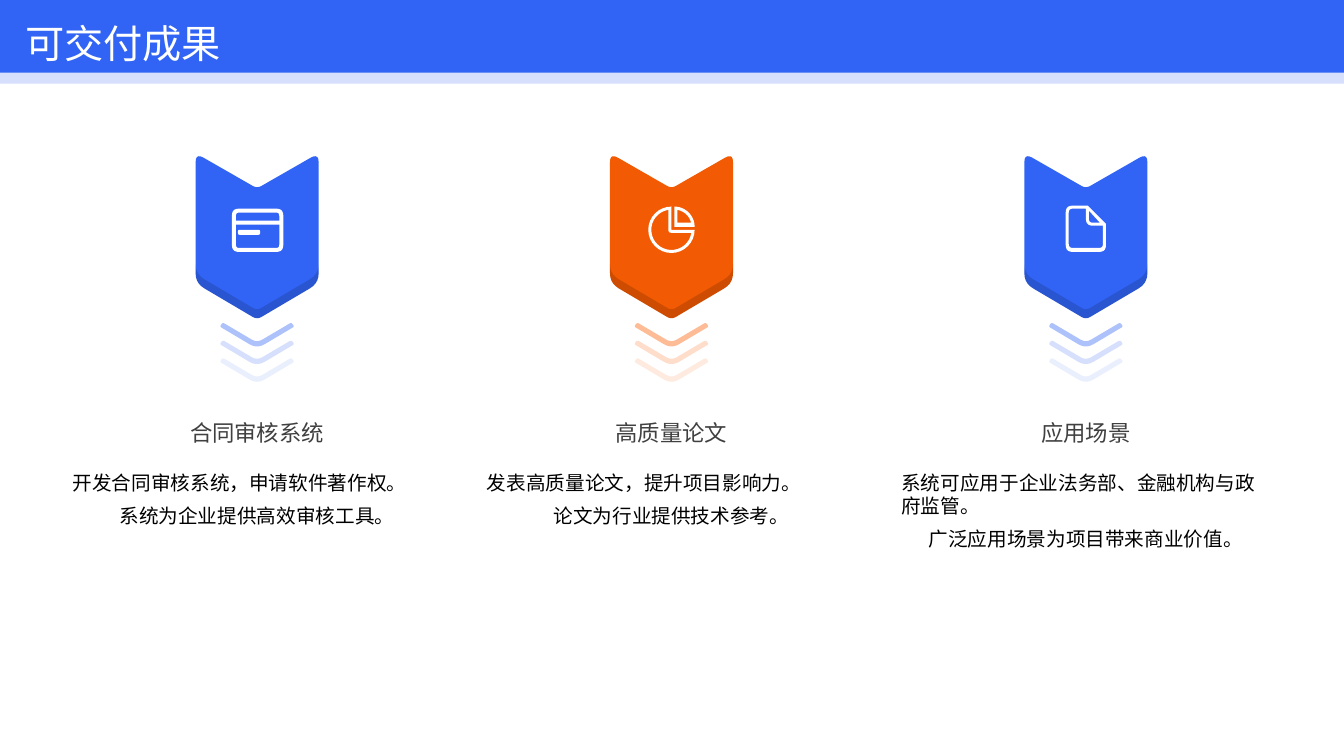
import math

import lxml.etree
import pptx
import pptx.dml.color
import pptx.enum.shapes
import pptx.enum.text
import pptx.oxml.ns
import pptx.util

Inches = pptx.util.Inches
RGBColor = pptx.dml.color.RGBColor
PP_ALIGN = pptx.enum.text.PP_ALIGN
MSO_ANCHOR = pptx.enum.text.MSO_ANCHOR
qn = pptx.oxml.ns.qn

FONT = "Noto Sans CJK SC"
BLUE = RGBColor(0x31, 0x64, 0xF5)
MID_BLUE = RGBColor(0xAD, 0xC1, 0xFB)
PALE_BLUE = RGBColor(0xD6, 0xE0, 0xFD)
ORANGE = RGBColor(0xF2, 0x5A, 0x03)
MID_ORANGE = RGBColor(0xFE, 0xBC, 0x96)
PALE_ORANGE = RGBColor(0xFE, 0xDD, 0xCB)
WHITE = RGBColor(0xFF, 0xFF, 0xFF)
GRAY = RGBColor(0x40, 0x40, 0x40)
BLACK = RGBColor(0x00, 0x00, 0x00)


def draw_outlines(outlines, dx, dy, color, opacity=100):
    """Fill outlines of (x, y[, corner reach]) points, moved by dx and dy inches."""
    builder = None
    for outline in outlines:
        points = []
        for i, (x, y, *reach) in enumerate(outline):
            if not reach:
                points.append((x, y))
                continue
            ends = []
            for nx, ny, *_ in (outline[i - 1], outline[(i + 1) % len(outline)]):
                t = reach[0] / math.dist((x, y), (nx, ny))
                ends.append((x + (nx - x) * t, y + (ny - y) * t))
            (ax, ay), (bx, by) = ends
            for t in (0, 0.2, 0.4, 0.6, 0.8, 1):
                u = 1 - t
                points.append((u * u * ax + 2 * u * t * x + t * t * bx,
                               u * u * ay + 2 * u * t * y + t * t * by))
        points = [(Inches(x + dx), Inches(y + dy)) for x, y in points]
        if builder is None:
            builder = slide.shapes.build_freeform(*points[0])
        else:
            builder.move_to(*points[0])
        builder.add_line_segments(points[1:], close=True)
    sp = builder.convert_to_shape()
    sp.shadow.inherit = False
    sp.fill.solid()
    sp.fill.fore_color.rgb = color
    sp.line.fill.background()
    if opacity < 100:
        fill = sp.element.find(".//" + qn("a:srgbClr"))
        lxml.etree.SubElement(fill, qn("a:alpha")).set("val", str(opacity * 1000))


def add_run(p, text, size, color):
    r = p.add_run()
    r.text = text
    r.font.size = pptx.util.Pt(size)
    r.font.name = FONT
    r.font.color.rgb = color
    ea = lxml.etree.SubElement(r.font._element, qn("a:ea"))
    ea.set("typeface", FONT)


prs = pptx.Presentation()
prs.slide_width = Inches(13.33)
prs.slide_height = Inches(7.5)
slide = prs.slides.add_slide(prs.slide_layouts[5])

# Header
for height, color in ((0.83, PALE_BLUE), (0.72, BLUE)):
    band = slide.shapes.add_shape(pptx.enum.shapes.MSO_SHAPE.RECTANGLE,
                                  0, 0, prs.slide_width, Inches(height))
    band.shadow.inherit = False
    band.fill.solid()
    band.fill.fore_color.rgb = color
    band.line.fill.background()

title = slide.shapes.title
slide.shapes.element.append(title.element)
title.left, title.top = Inches(0.15), Inches(0.05)
title.width, title.height = Inches(12.62), Inches(0.57)
tf = title.text_frame
tf.auto_size = pptx.enum.text.MSO_AUTO_SIZE.SHAPE_TO_FIT_TEXT
tf.vertical_anchor = MSO_ANCHOR.TOP
p = tf.paragraphs[0]
p.alignment = PP_ALIGN.LEFT
p.line_spacing = 1.2
add_run(p, "可交付成果", 28, WHITE)

# Outlines, with x measured from the middle of a column
banner = [(0.61, 1.52, 0.09), (0.61, 2.81, 0.1), (0, 3.17, 0.05),
          (-0.61, 2.81, 0.1), (-0.61, 1.52, 0.09), (0, 1.87, 0.05)]
banner_edge = [(0.61, 2.62), (0.61, 2.81, 0.1), (0, 3.17, 0.05), (-0.61, 2.81, 0.1),
               (-0.61, 2.62), (-0.61, 2.72, 0.1), (0, 3.08, 0.05), (0.61, 2.72, 0.1)]
chevron = [(0.34, -0.01, 0.02), (0.37, 0.03, 0.02), (0, 0.25, 0.09),
           (-0.37, 0.03, 0.02), (-0.34, -0.01, 0.02), (0, 0.19, 0.06)]

card_icon = [
    [(-0.25, 2.07, 0.07), (0.26, 2.07, 0.07), (0.26, 2.5, 0.07), (-0.25, 2.5, 0.07)],
    [(-0.21, 2.11, 0.03), (0.22, 2.11, 0.03), (0.22, 2.19), (-0.21, 2.19)],
    [(-0.21, 2.23), (0.22, 2.23), (0.22, 2.46, 0.03), (-0.21, 2.46, 0.03)],
    [(-0.19, 2.28, 0.02), (0.03, 2.28, 0.02), (0.03, 2.33, 0.02), (-0.19, 2.33, 0.02)],
]
pie_icon = []
for corners, cx, cy, radius, start, end in (
        ([(0, 2.04), (0, 2.28), (0.23, 2.28)], 0, 2.28, 0.23, 0, 270),
        ([(-0.03, 2.08), (-0.03, 2.31, 0.03), (0.2, 2.31)], 0, 2.28, 0.2, 10, 260),
        ([(0.03, 2.25)], 0.03, 2.25, 0.2, -90, 0),
        ([(0.06, 2.21)], 0.03, 2.25, 0.17, -80, -14)):
    angles = [math.radians(start + (end - start) * i / 24) for i in range(25)]
    pie_icon.append(corners + [(cx + radius * math.cos(a), cy + radius * math.sin(a))
                               for a in angles])
page_icon = [
    [(-0.2, 2.04, 0.07), (0.02, 2.04), (0.2, 2.22), (0.2, 2.5, 0.07), (-0.2, 2.5, 0.07)],
    [(0.03, 2.09), (0.14, 2.21), (0.03, 2.21, 0.04)],
    [(-0.17, 2.07, 0.04), (0, 2.07), (0, 2.24, 0.07), (0.17, 2.24),
     (0.17, 2.46, 0.04), (-0.17, 2.46, 0.04)],
]

# Columns
columns = (
    ("合同审核系统", "开发合同审核系统，申请软件著作权。", "系统为企业提供高效审核工具。",
     card_icon, (BLUE, MID_BLUE, PALE_BLUE), 50),
    ("高质量论文", "发表高质量论文，提升项目影响力。", "论文为行业提供技术参考。",
     pie_icon, (ORANGE, MID_ORANGE, PALE_ORANGE), 60),
    ("应用场景", "系统可应用于企业法务部、金融机构与政府监管。", "广泛应用场景为项目带来商业价值。",
     page_icon, (BLUE, MID_BLUE, PALE_BLUE), 50),
)
for i, (heading, result, value, icon, (dark, mid, pale), faint) in enumerate(columns):
    center = 2.55 + 4.11 * i
    draw_outlines([banner], center, 0, dark)
    draw_outlines([banner_edge], center, 0, BLACK, 15)
    for row, (color, opacity) in enumerate(((mid, 100), (pale, 100), (pale, faint))):
        draw_outlines([chevron], center, 3.21 + 0.175 * row, color, opacity)
    draw_outlines(icon, center, 0, WHITE)

    for top, height, anchor, size, color, lines in (
            (3.87, 0.79, MSO_ANCHOR.MIDDLE, 16, GRAY,
             ((heading, PP_ALIGN.CENTER, 1.2),)),
            (4.67, 1.77, MSO_ANCHOR.TOP, 14, BLACK,
             ((result, PP_ALIGN.LEFT, 1.0), (value, PP_ALIGN.CENTER, 1.4)))):
        box = slide.shapes.add_textbox(Inches(center - 1.83), Inches(top),
                                       Inches(3.66), Inches(height))
        tf = box.text_frame
        tf.word_wrap = True
        tf.vertical_anchor = anchor
        tf.margin_left = tf.margin_right = tf.margin_top = tf.margin_bottom = 0
        for n, (text, alignment, spacing) in enumerate(lines):
            p = tf.add_paragraph() if n else tf.paragraphs[0]
            p.alignment = alignment
            p.line_spacing = spacing
            add_run(p, text, size, color)

prs.save("out.pptx")
